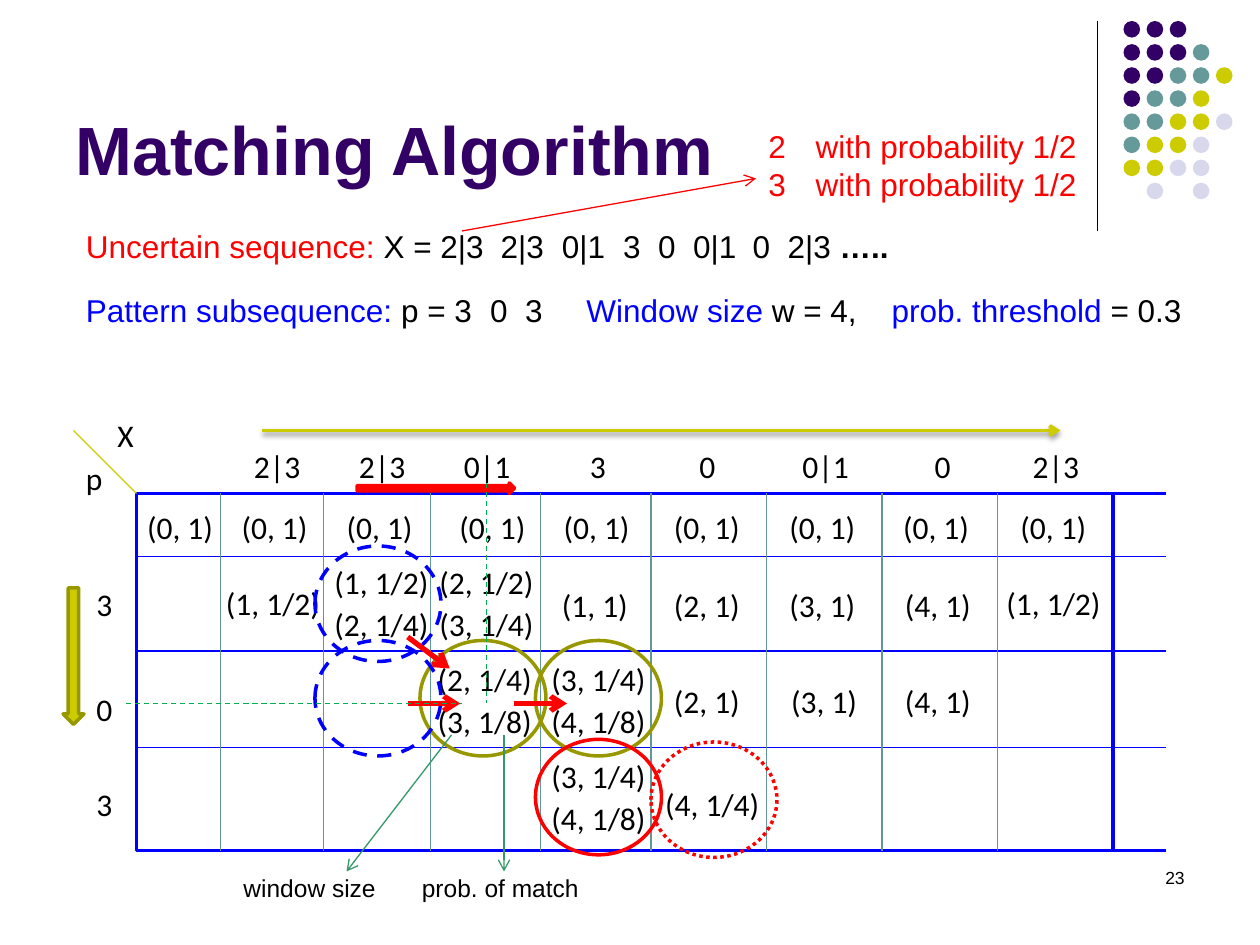
from dataclasses import dataclass

from lxml import etree
from pptx import Presentation
from pptx.dml.color import RGBColor
from pptx.enum.dml import MSO_LINE
from pptx.enum.shapes import MSO_CONNECTOR, MSO_SHAPE
from pptx.enum.text import MSO_ANCHOR, PP_ALIGN
from pptx.oxml.ns import qn
from pptx.util import Pt

OVAL, RECTANGLE = MSO_SHAPE.OVAL, MSO_SHAPE.RECTANGLE
DOWN_ARROW, RIGHT_ARROW = MSO_SHAPE.DOWN_ARROW, MSO_SHAPE.RIGHT_ARROW
STRAIGHT = MSO_CONNECTOR.STRAIGHT
DASH, DOTTED = MSO_LINE.DASH, MSO_LINE.ROUND_DOT
LEFT, RIGHT = PP_ALIGN.LEFT, PP_ALIGN.RIGHT
TOP, BOTTOM = MSO_ANCHOR.TOP, MSO_ANCHOR.BOTTOM


@dataclass(frozen=True)
class Theme:
    black: str = "000000"
    white: str = "FFFFFF"
    purple: str = "330066"
    teal: str = "669999"
    yellow: str = "CCCC00"
    lavender: str = "D8D8EC"
    blue: str = "0000FF"
    red: str = "FF0000"
    olive: str = "979700"
    column_line: str = "639797"
    green: str = "339966"
    guide: str = "00B050"
    sans: str = "Arial"
    cell_font: str = "Calibri"
    title_size: float = 39
    body_size: float = 18
    note_size: float = 14
    number_size: float = 10
    thin: float = 0.75
    medium: float = 2
    thick: float = 3


def add_child(parent, tag, **attributes):
    child = etree.SubElement(parent, qn(tag))
    for name, value in attributes.items():
        child.set(name, str(value))
    return child


def write_run(paragraph, text, *, font, size, color, bold):
    run = paragraph.add_run()
    run.text = text
    run.font.name, run.font.size, run.font.bold = font, Pt(size), bold
    run.font.color.rgb = RGBColor.from_string(color)


class SlideBuilder:
    def __init__(self, slide, theme):
        self.slide, self.theme = slide, theme

    def style_line(self, line, color, width, dash):
        line.color.rgb = RGBColor.from_string(color)
        line.width = Pt(width)
        if dash is not None:
            line.dash_style = dash

    def text(self, left, top, width, height, *paragraphs, font=None, size=None,
             color=None, bold=False, align=LEFT, anchor=TOP, tabs=(), number_from=None):
        """Each paragraph is a string or a list of (text, color, bold) runs."""
        box = self.slide.shapes.add_textbox(Pt(left), Pt(top), Pt(width), Pt(height))
        frame = box.text_frame
        frame.word_wrap, frame.vertical_anchor = True, anchor
        color = color or self.theme.black
        for index, content in enumerate(paragraphs):
            paragraph = frame.add_paragraph() if index else frame.paragraphs[0]
            paragraph.alignment = align
            properties = paragraph._p.get_or_add_pPr()
            if number_from is not None:
                properties.set("marL", str(Pt(27)))
                properties.set("indent", str(Pt(-27)))
                add_child(properties, "a:buFont", typeface="+mj-lt")
                add_child(properties, "a:buAutoNum", type="arabicPlain", startAt=number_from)
            if tabs:
                stops = add_child(properties, "a:tabLst")
                for position in tabs:
                    add_child(stops, "a:tab", pos=Pt(position), algn="l")
            runs = [(content, color, bold)] if isinstance(content, str) else content
            for run_text, run_color, run_bold in runs:
                write_run(paragraph, run_text, font=font or self.theme.sans,
                          size=size or self.theme.body_size, color=run_color, bold=run_bold)

    def cell(self, left, top, width, label):
        self.text(left, top, width, 29, label, font=self.theme.cell_font)

    def shape(self, kind, left, top, width, height, fill=None, line=None, dash=None):
        shape = self.slide.shapes.add_shape(kind, Pt(left), Pt(top), Pt(width), Pt(height))
        shape.shadow.inherit = False
        if fill:
            shape.fill.solid()
            shape.fill.fore_color.rgb = RGBColor.from_string(fill)
        else:
            shape.fill.background()
        if line:
            self.style_line(shape.line, line, self.theme.medium, dash)
        else:
            shape.line.fill.background()

    def ring(self, left, top, color, dash=None):
        self.shape(OVAL, left, top, 72, 66, line=color, dash=dash)

    def line(self, x1, y1, x2, y2, color, width=None, dash=None, arrow=False, shadow=False):
        connector = self.slide.shapes.add_connector(STRAIGHT, Pt(x1), Pt(y1), Pt(x2), Pt(y2))
        self.style_line(connector.line, color, width or self.theme.thin, dash)
        properties = connector._element.spPr
        if arrow:
            add_child(properties.find(qn("a:ln")), "a:tailEnd", type="arrow")
        effects = add_child(properties, "a:effectLst")
        if shadow:
            outer = add_child(effects, "a:outerShdw", blurRad=Pt(3.1), dist=Pt(1.6),
                              dir=5400000, rotWithShape=0)
            add_child(add_child(outer, "a:srgbClr", val=self.theme.black), "a:alpha", val=38000)


def draw_header(builder):
    theme = builder.theme
    builder.line(627, 12, 627, 132, theme.black)
    dot_colors = {"P": theme.purple, "T": theme.teal, "Y": theme.yellow, "L": theme.lavender}
    dot_rows = ["PPP", "PPPT", "PPTTY", "PTTY", "TTYYL", "TYYL", "YYLL", " L L"]
    for row, codes in enumerate(dot_rows):
        for column, code in enumerate(codes):
            if code in dot_colors:
                builder.shape(OVAL, 642 + 13.2 * column, 12 + 13.2 * row, 9.5, 9.5,
                              fill=dot_colors[code])
    builder.text(36, 9.5, 594, 102, "Matching Algorithm", size=theme.title_size,
                 color=theme.purple, bold=True, anchor=BOTTOM)
    builder.text(516, 492, 168, 36, "23", size=theme.number_size, align=RIGHT)


def draw_grid(builder):
    theme = builder.theme
    left, top, right, bottom, open_end = 78, 282, 636, 486, 666
    builder.shape(RECTANGLE, left, top, right - left, bottom - top,
                  fill=theme.white, line=theme.blue)
    for y in (318, 372, 427):
        builder.line(left, y, open_end, y, theme.blue)
    for x in (126, 185, 246, 309, 372, 438, 504, 570):
        builder.line(x, top, x, bottom, theme.column_line)
    for y in (top, bottom):
        builder.line(right, y, open_end, y, theme.blue, width=2.25)
    builder.line(left, top, 42, 246, theme.yellow)
    builder.line(150, 246, 606, 246, theme.yellow, theme.medium, arrow=True, shadow=True)


def draw_cells(builder):
    axis_labels = [(60, 234, "X"), (42, 259, "p"), (48, 331, "3"), (48, 391, "0"), (48, 445, "3")]
    for left, top, label in axis_labels:
        builder.cell(left, top, 30, label)

    symbols = ["2|3", "2|3", "0|1", "3", "0", "0|1", "0", "2|3"]
    for left, symbol in zip((138, 198, 258, 330, 392.5, 451.5, 527, 583), symbols):
        builder.cell(left, 252, 42, symbol)
    for left in (77, 131, 191, 255.5, 315, 378, 444, 509, 576):
        builder.cell(left, 287, 55.5, "(0, 1)")

    wide, narrow = 70, 55.5
    match_rows = [
        (318, wide, {184: "(1, 1/2)", 244: "(2, 1/2)"}),
        (342, wide, {184: "(2, 1/4)", 244: "(3, 1/4)"}),
        (330, wide, {122: "(1, 1/2)", 568: "(1, 1/2)"}),
        (331.5, narrow, {314: "(1, 1)", 378: "(2, 1)", 444: "(3, 1)", 510: "(4, 1)"}),
        (373.5, wide, {243: "(2, 1/4)", 308: "(3, 1/4)"}),
        (397.5, wide, {243: "(3, 1/8)", 308: "(4, 1/8)"}),
        (386, narrow, {378: "(2, 1)", 445: "(3, 1)", 510: "(4, 1)"}),
        (429, wide, {308: "(3, 1/4)"}),
        (453, wide, {308: "(4, 1/8)"}),
        (445, wide, {373: "(4, 1/4)"}),
    ]
    for top, width, entries in match_rows:
        for left, label in entries.items():
            builder.cell(left, top, width, label)


def draw_statements(builder):
    theme = builder.theme
    builder.text(42, 126, 480, 29, [
        ("Uncertain sequence:", theme.red, False),
        (" X = 2|3\t2|3\t0|1\t3\t0\t0|1\t0\t2|3 ", theme.black, False),
        ("…..", theme.black, True),
    ], tabs=(237, 272, 307, 327, 347, 381, 401))
    builder.text(42, 163, 654, 29, [
        ("Pattern subsequence:", theme.blue, False),
        (" p = 3\t0\t3\t", theme.black, False),
        ("Window size", theme.blue, False),
        (" w = 4,\t", theme.black, False),
        ("prob. threshold", theme.blue, False),
        (" = 0.3", theme.black, False),
    ], tabs=(231, 251, 286, 460.5))
    builder.text(432, 69, 198, 51, *["with probability 1/2"] * 2,
                 color=theme.red, number_from=2)
    builder.line(264, 132, 432, 102, theme.red, arrow=True)


def draw_annotations(builder):
    theme = builder.theme
    builder.ring(240, 366, theme.olive)
    builder.shape(DOWN_ARROW, 36, 336, 12, 78, fill=theme.yellow, line=theme.olive)
    builder.shape(RIGHT_ARROW, 204, 276, 90, 6, fill=theme.red, line=theme.red)
    builder.ring(180, 312, theme.blue, DASH)
    builder.ring(306, 366, theme.olive)
    builder.ring(306, 422.5, theme.red)
    builder.ring(372, 424, theme.red, DOTTED)
    builder.ring(180, 366, theme.blue, DASH)
    for start_x, start_y, end_x, end_y in [(233, 364, 257, 382), (294, 402, 324, 402),
                                           (233, 402, 263, 402)]:
        builder.line(start_x, start_y, end_x, end_y, theme.red, theme.thick, arrow=True)
    for start_x, end_x, left, width, note in [(258, 198, 132, 90, "window size"),
                                              (288, 288, 234, 108, "prob. of match")]:
        builder.line(start_x, 420, end_x, 498, theme.green, arrow=True)
        builder.text(left, 495.5, width, 24, note, size=theme.note_size)
    builder.line(72, 402, 264, 402, theme.guide, dash=DASH)
    builder.line(278, 276, 278, 402, theme.guide, dash=DASH)


def main():
    presentation = Presentation()
    presentation.slide_width, presentation.slide_height = Pt(720), Pt(540)
    slide = presentation.slides.add_slide(presentation.slide_layouts[6])
    builder = SlideBuilder(slide, Theme())
    draw_header(builder)
    draw_grid(builder)
    draw_cells(builder)
    draw_statements(builder)
    draw_annotations(builder)
    presentation.save("out.pptx")


if __name__ == "__main__":
    main()
